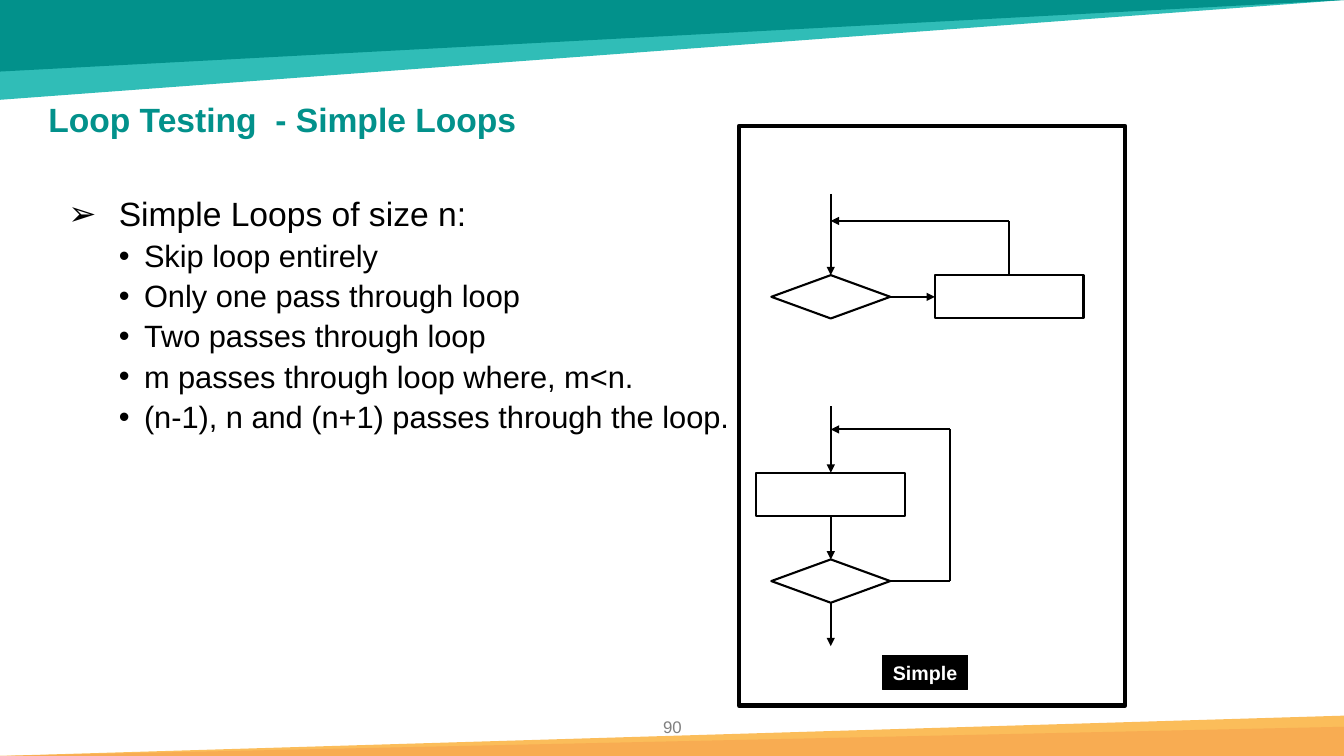
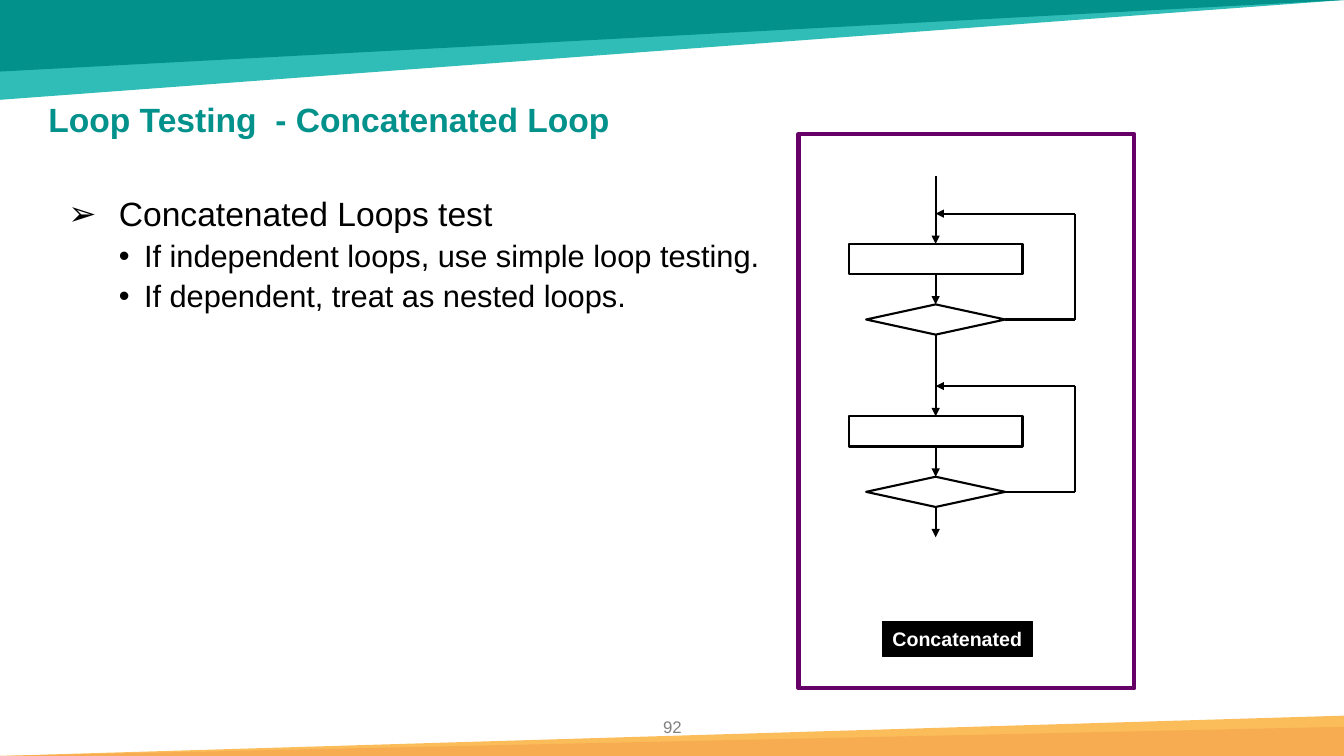
from dataclasses import dataclass
from itertools import pairwise

import pptx
import pptx.dml.color
import pptx.enum.shapes
import pptx.enum.text
import pptx.oxml.ns
import pptx.util
from lxml import etree

Inches = pptx.util.Inches
Pt = pptx.util.Pt
SHAPES = pptx.enum.shapes.MSO_SHAPE
ALIGN = pptx.enum.text.PP_ALIGN
ANCHOR = pptx.enum.text.MSO_ANCHOR
qn = pptx.oxml.ns.qn


@dataclass(frozen=True)
class Theme:
    font: str = "Arial"
    title: str = "02918B"
    text: str = "000000"
    ink: str = "000000"
    label: str = "FFFFFF"
    number: str = "808080"
    purple: str = "660066"
    top_bands: tuple = (("30BDB7", 0.99), ("02918B", 0.71))
    bottom_bands: tuple = (("FBBD5A", 0.4), ("F8AC52", 0.29))
    title_size: int = 24
    body_sizes: tuple = (24, 22)
    label_size: int = 14
    number_size: int = 12
    line: float = 1.5
    label_line: float = 0.75
    frame_line: float = 3


THEME = Theme()
PAGE_WIDTH, PAGE_HEIGHT = 13.33, 7.5
# Bullet character, left margin and hanging indent of each level
BULLETS = (("➢", 0.5, -0.5), ("•", 0.75, -0.25))


def rgb(colour):
    return pptx.dml.color.RGBColor.from_string(colour)


def add_span(para, text, size, colour, bold=False):
    span = para.add_run()
    span.text = text
    font = span.font
    font.name, font.size, font.bold = THEME.font, Pt(size), bold
    font.color.rgb = rgb(colour)


def add_box(page, kind, left, top, width, height,
            fill=None, line=None, weight=THEME.line):
    box = page.shapes.add_shape(
        kind, Inches(left), Inches(top), Inches(width), Inches(height))
    box.shadow.inherit = False
    if fill:
        box.fill.solid()
        box.fill.fore_color.rgb = rgb(fill)
    else:
        box.fill.background()
    if line:
        box.line.color.rgb = rgb(line)
        box.line.width = Pt(weight)
    else:
        box.line.fill.background()
    return box


def add_text_box(page, left, top, width, height):
    box = page.shapes.add_textbox(
        Inches(left), Inches(top), Inches(width), Inches(height))
    box.text_frame.word_wrap = True
    return box.text_frame


def add_bands(page):
    bands = [(colour, 0, height, 180) for colour, height in THEME.top_bands]
    bands += [(colour, PAGE_HEIGHT - height, height, 0)
              for colour, height in THEME.bottom_bands]
    for colour, top, height, rotation in bands:
        band = add_box(page, SHAPES.RIGHT_TRIANGLE, 0, top, PAGE_WIDTH, height, fill=colour)
        band.rotation = rotation
        band.element.spPr.find(qn("a:xfrm")).set("flipH", "1")


def add_title(page, text):
    title = page.shapes.title
    title.left, title.top = Inches(0.38), Inches(1.01)
    title.width, title.height = Inches(8.79), Inches(0.4)
    frame = title.text_frame
    frame.auto_size = pptx.enum.text.MSO_AUTO_SIZE.NONE
    frame.vertical_anchor = ANCHOR.MIDDLE
    para = frame.paragraphs[0]
    para.alignment = ALIGN.LEFT
    para.line_spacing = 0.9
    add_span(para, text, THEME.title_size, THEME.title, bold=True)


def add_page_number(page, number):
    para = add_text_box(page, 6.34, 7.06, 0.66, 0.3).paragraphs[0]
    para.alignment = ALIGN.CENTER
    add_span(para, str(number), THEME.number_size, THEME.number)


def set_bullet(para, level):
    char, margin, indent = BULLETS[level]
    props = para._p.get_or_add_pPr()
    props.set("marL", str(Inches(margin)))
    props.set("indent", str(Inches(indent)))
    etree.SubElement(props, qn("a:buFont")).set("typeface", THEME.font)
    etree.SubElement(props, qn("a:buChar")).set("char", char)


def add_bullets(page, heading, points):
    frame = add_text_box(page, 0.58, 1.91, 11.62, 5)
    items = [(0, heading)] + [(1, point) for point in points]
    for index, (level, text) in enumerate(items):
        para = frame.add_paragraph() if index else frame.paragraphs[0]
        para.level = level
        para.line_spacing = 0.9
        para.space_before = Pt(5)
        set_bullet(para, level)
        add_span(para, text, THEME.body_sizes[level], THEME.text)


def add_route(page, *points, arrow=True):
    """Join the points with straight lines; the arrowhead is on the last."""
    for start, end in pairwise(points):
        line = page.shapes.add_connector(
            pptx.enum.shapes.MSO_CONNECTOR.STRAIGHT,
            *(Inches(value) for value in (*start, *end)))
        line.line.color.rgb = rgb(THEME.ink)
        line.line.width = Pt(THEME.line)
        if arrow and end == points[-1]:
            tail = etree.SubElement(line.line._get_or_add_ln(), qn("a:tailEnd"))
            tail.set("type", "triangle")
        etree.SubElement(line.element.spPr, qn("a:effectLst"))


def add_node(page, kind, centre, top, width, height):
    add_box(page, kind, centre - width / 2, top, width, height, line=THEME.ink)


def add_pre_test_loop(page, axis, top, step, width):
    """Draw a loop whose test comes before its body, body to the right."""
    body_width = 1.25 * width
    body_centre = axis + 1.5 * width
    middle = top + step / 2
    back = top - 1.25 * step
    add_node(page, SHAPES.DIAMOND, axis, top, width, step)
    add_node(page, SHAPES.RECTANGLE, body_centre, top, body_width, step)
    add_route(page, (axis, back - 0.27), (axis, top))
    add_route(page, (axis + width / 2, middle), (body_centre - body_width / 2, middle))
    add_route(page, (body_centre, top), (body_centre, back), (axis, back))


def add_post_test_loop(page, axis, entry, top, step, width):
    """Draw a loop whose test comes after its body; return the test's bottom."""
    test_top = top + 2 * step
    middle = test_top + step / 2
    back = top - step
    side = axis + width
    add_node(page, SHAPES.RECTANGLE, axis, top, 1.25 * width, step)
    add_node(page, SHAPES.DIAMOND, axis, test_top, width, step)
    add_route(page, (axis, entry), (axis, top))
    add_route(page, (axis, top + step), (axis, test_top))
    add_route(page, (axis + width / 2, middle), (side, middle), (side, back), (axis, back))
    return test_top + step


def add_label(page, text, top, width):
    label = add_box(page, SHAPES.RECTANGLE, 8.75, top, width, 0.34,
                    fill=THEME.ink, line=THEME.ink, weight=THEME.label_line)
    frame = label.text_frame
    frame.word_wrap = False
    frame.vertical_anchor = ANCHOR.MIDDLE
    para = frame.paragraphs[0]
    para.alignment = ALIGN.CENTER
    add_span(para, text, THEME.label_size, THEME.label, bold=True)


def add_frame(page, left, top, width, height, colour):
    add_box(page, SHAPES.RECTANGLE, left, top, width, height,
            line=colour, weight=THEME.frame_line)


def add_page(deck, title, number, heading, points):
    page = deck.slides.add_slide(deck.slide_layouts.get_by_name("Title Only"))
    add_bands(page)
    add_title(page, title)
    add_page_number(page, number)
    add_bullets(page, heading, points)
    return page


def add_simple_loops(deck):
    page = add_page(deck, "Loop Testing  - Simple Loops", 90, "Simple Loops of size n:", (
        "Skip loop entirely",
        "Only one pass through loop",
        "Two passes through loop",
        "m passes through loop where, m<n.",
        "(n-1), n and (n+1) passes through the loop.",
    ))
    axis, step, width = 8.24, 0.43, 1.18
    add_pre_test_loop(page, axis, 2.73, step, width)
    bottom = add_post_test_loop(page, axis, 4.03, 4.69, step, width)
    add_route(page, (axis, bottom), (axis, bottom + step))
    add_label(page, "Simple", 6.5, 0.85)
    add_frame(page, 7.33, 1.25, 3.83, 5.75, THEME.ink)


def add_concatenated_loops(deck):
    page = add_page(deck, "Loop Testing  - Concatenated Loop", 92, "Concatenated Loops test", (
        "If independent loops, use simple loop testing.",
        "If dependent, treat as nested loops.",
    ))
    axis, step, width = 9.28, 0.3, 1.38
    bottom = 1.75
    for top in (2.42, 4.13):
        bottom = add_post_test_loop(page, axis, bottom, top, step, width)
    add_route(page, (axis, bottom), (axis, bottom + step))
    add_label(page, "Concatenated", 6.17, 1.49)
    add_frame(page, 7.92, 1.33, 3.33, 5.5, THEME.purple)


def main():
    deck = pptx.Presentation()
    deck.slide_width, deck.slide_height = Inches(PAGE_WIDTH), Inches(PAGE_HEIGHT)
    add_simple_loops(deck)
    add_concatenated_loops(deck)
    deck.save("out.pptx")


if __name__ == "__main__":
    main()
